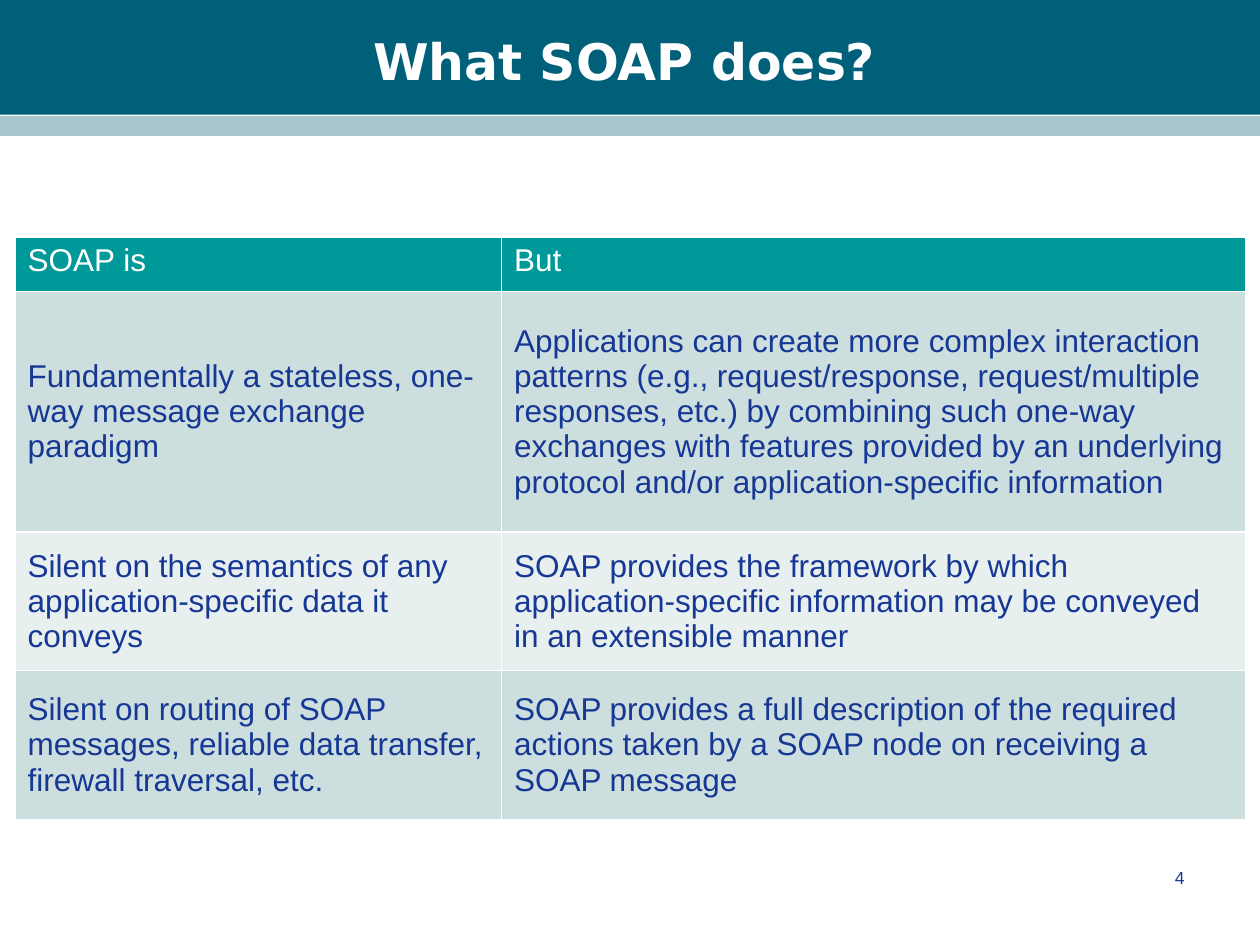
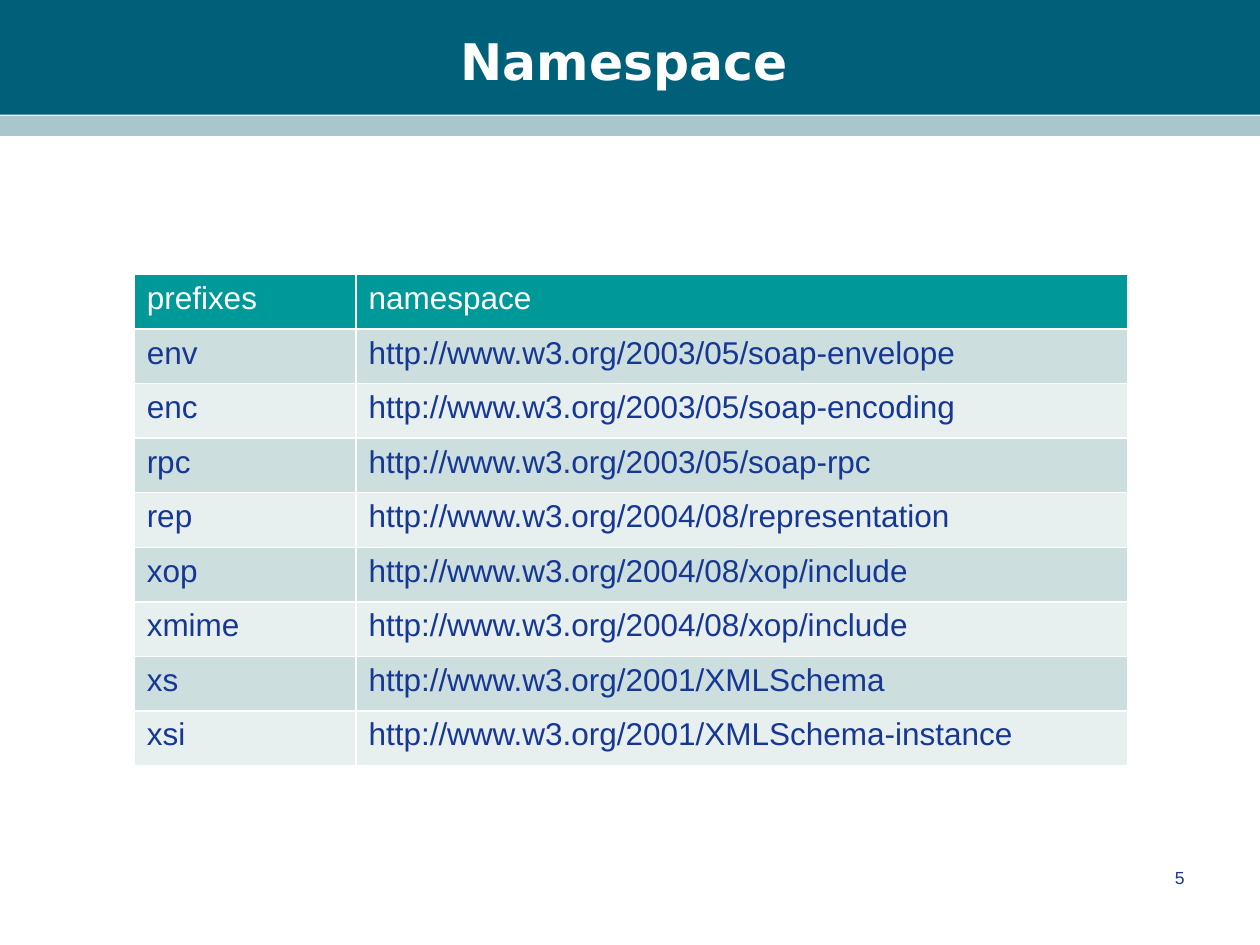
from dataclasses import dataclass

from pptx import Presentation
from pptx.dml.color import RGBColor as Color
from pptx.enum.shapes import MSO_SHAPE as Shape
from pptx.enum.text import MSO_ANCHOR as Anchor, MSO_AUTO_SIZE as AutoSize, PP_ALIGN as Align
from pptx.util import Inches, Pt


@dataclass(frozen=True)
class Theme:
    """Colours, fonts and type sizes of the deck."""
    band: Color = Color.from_string("00607A")
    stripe: Color = Color.from_string("A9C6CC")
    header: Color = Color.from_string("009999")
    row_fills: tuple = (Color.from_string("CCDEDE"), Color.from_string("E7EFEF"))
    ink: Color = Color.from_string("163794")
    paper: Color = Color.from_string("FFFFFF")
    title_font: str = "DejaVu Sans"
    body_font: str = "Arial"
    title_size: Pt = Pt(28.8)
    table_size: Pt = Pt(18)
    number_size: Pt = Pt(10)


class Deck:
    """Draws slides on a grid of 100 columns by 75 rows."""
    COLUMNS, ROWS = 100, 75
    TITLE_ONLY = 5

    def __init__(self, theme):
        self.theme = theme
        self.presentation = Presentation()
        self.presentation.slide_width = Inches(10)
        self.presentation.slide_height = Inches(7.5)
        self.slide = None

    def across(self, columns):
        return round(self.presentation.slide_width * columns / self.COLUMNS)

    def down(self, rows):
        return round(self.presentation.slide_height * rows / self.ROWS)

    def box(self, left, top, width, height):
        return self.across(left), self.down(top), self.across(width), self.down(height)

    def apply(self, target, values):
        for name, value in values.items():
            setattr(target, name, value)

    def set_text(self, frame, text, color, align=Align.LEFT, **font):
        frame.text = text
        paragraph = frame.paragraphs[0]
        paragraph.alignment = align
        self.apply(paragraph.font, font)
        paragraph.font.color.rgb = color

    def add_slide(self, title, number):
        layout = self.presentation.slide_layouts[self.TITLE_ONLY]
        self.slide = self.presentation.slides.add_slide(layout)
        self.add_band(0, 9.1, self.theme.band)
        self.add_band(9.2, 1.6, self.theme.stripe)
        self.set_title(title)
        self.add_number(number)

    def add_band(self, top, height, color):
        shape = self.slide.shapes.add_shape(
            Shape.RECTANGLE, *self.box(0, top, self.COLUMNS, height))
        shape.shadow.inherit = False
        shape.fill.solid()
        shape.fill.fore_color.rgb = color
        shape.line.fill.background()
        self.slide.shapes.title.element.addprevious(shape.element)

    def set_title(self, text):
        title = self.slide.shapes.title
        edges = ("left", "top", "width", "height")
        self.apply(title, dict(zip(edges, self.box(3.3, 1.7, 92.5, 6.2))))
        self.apply(title.text_frame, {"vertical_anchor": Anchor.MIDDLE,
                                      "auto_size": AutoSize.NONE})
        self.set_text(title.text_frame, text, self.theme.paper, Align.CENTER, bold=True,
                      name=self.theme.title_font, size=self.theme.title_size)

    def add_number(self, number):
        frame = self.slide.shapes.add_textbox(*self.box(71.7, 68.3, 23.3, 5)).text_frame
        frame.word_wrap = True
        self.set_text(frame, str(number), self.theme.ink, Align.RIGHT,
                      name=self.theme.body_font, size=self.theme.number_size)

    def add_table(self, left, top, widths, heights, records, anchor=Anchor.TOP):
        area = self.box(left, top, sum(widths), sum(heights))
        table = self.slide.shapes.add_table(len(records), len(widths), *area).table
        for column, width in zip(table.columns, widths):
            column.width = self.across(width)
        for index, (row, height, record) in enumerate(zip(table.rows, heights, records)):
            row.height = self.down(height)
            for cell, text in zip(row.cells, record):
                self.fill_cell(cell, text, index, anchor)

    def fill_cell(self, cell, text, row_index, anchor):
        theme = self.theme
        is_header = row_index == 0
        cell.fill.solid()
        cell.fill.fore_color.rgb = (
            theme.header if is_header else theme.row_fills[(row_index - 1) % 2])
        cell.vertical_anchor = Anchor.TOP if is_header else anchor
        self.set_text(cell.text_frame, text, theme.paper if is_header else theme.ink,
                      name=theme.body_font, size=theme.table_size, bold=False)


SOAP_TRAITS = [
    ("SOAP is", "But"),
    ("Fundamentally a stateless, one-way message exchange paradigm",
     "Applications can create more complex interaction patterns (e.g., request/response, "
     "request/multiple responses, etc.) by combining such one-way exchanges with features "
     "provided by an underlying protocol and/or application-specific information"),
    ("Silent on the semantics of any application-specific data it conveys",
     "SOAP provides the framework by which application-specific information may be "
     "conveyed in an extensible manner"),
    ("Silent on routing of SOAP messages, reliable data transfer, firewall traversal, etc.",
     "SOAP provides a full description of the required actions taken by a SOAP node on "
     "receiving a SOAP message"),
]

NAMESPACES = [
    ("prefixes", "namespace"),
    ("env", "http://www.w3.org/2003/05/soap-envelope"),
    ("enc", "http://www.w3.org/2003/05/soap-encoding"),
    ("rpc", "http://www.w3.org/2003/05/soap-rpc"),
    ("rep", "http://www.w3.org/2004/08/representation"),
    ("xop", "http://www.w3.org/2004/08/xop/include"),
    ("xmime", "http://www.w3.org/2004/08/xop/include"),
    ("xs", "http://www.w3.org/2001/XMLSchema"),
    ("xsi", "http://www.w3.org/2001/XMLSchema-instance"),
]


def main():
    deck = Deck(Theme())
    deck.add_slide("What SOAP does?", 4)
    deck.add_table(1.2, 18.8, (38.6, 59.1), (4.33, 19.1, 11, 11.8), SOAP_TRAITS, Anchor.MIDDLE)
    deck.add_slide("Namespace", 5)
    deck.add_table(10.65, 21.8, (17.6, 61.25), [4.33] * len(NAMESPACES), NAMESPACES)
    deck.presentation.save("out.pptx")


if __name__ == "__main__":
    main()
